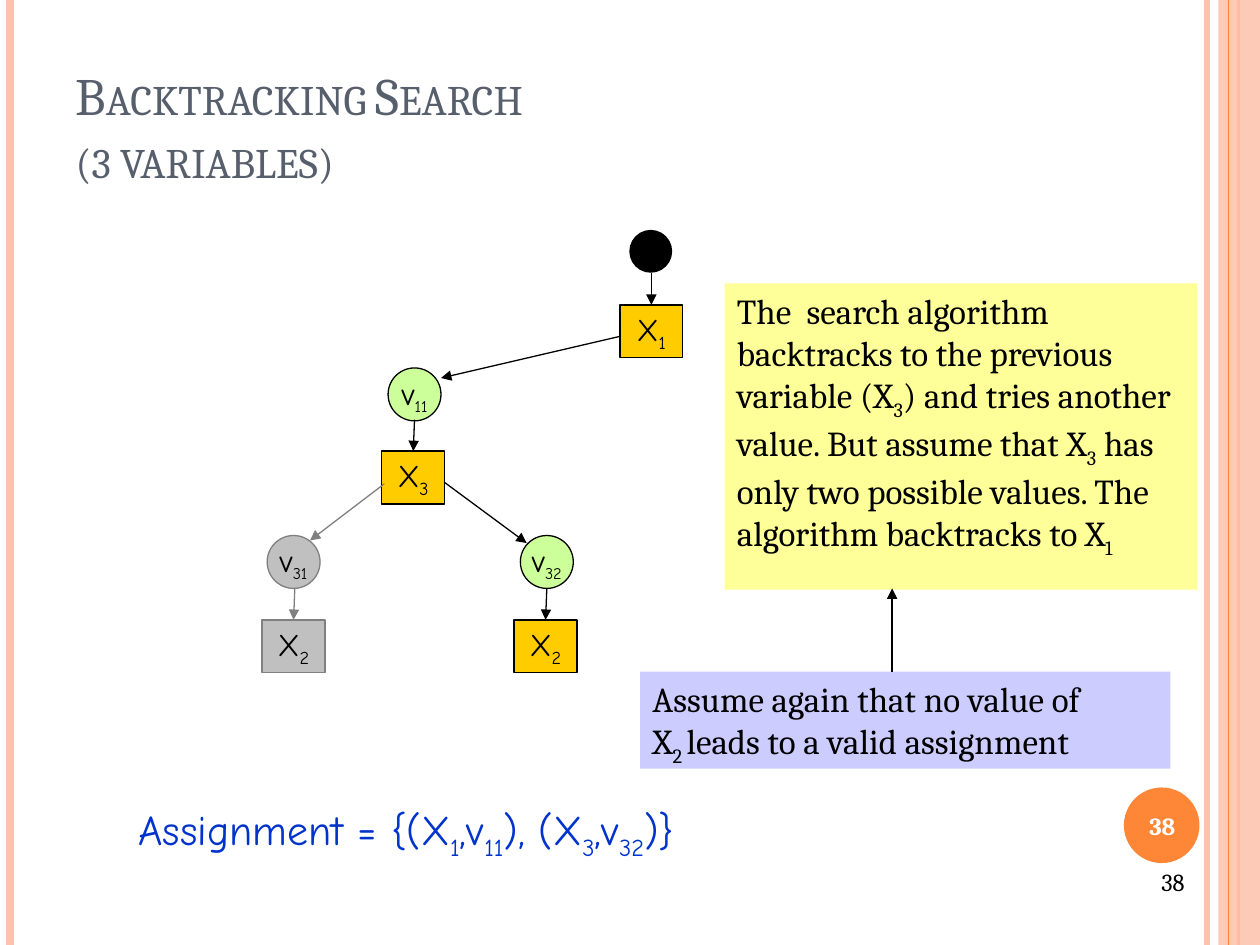
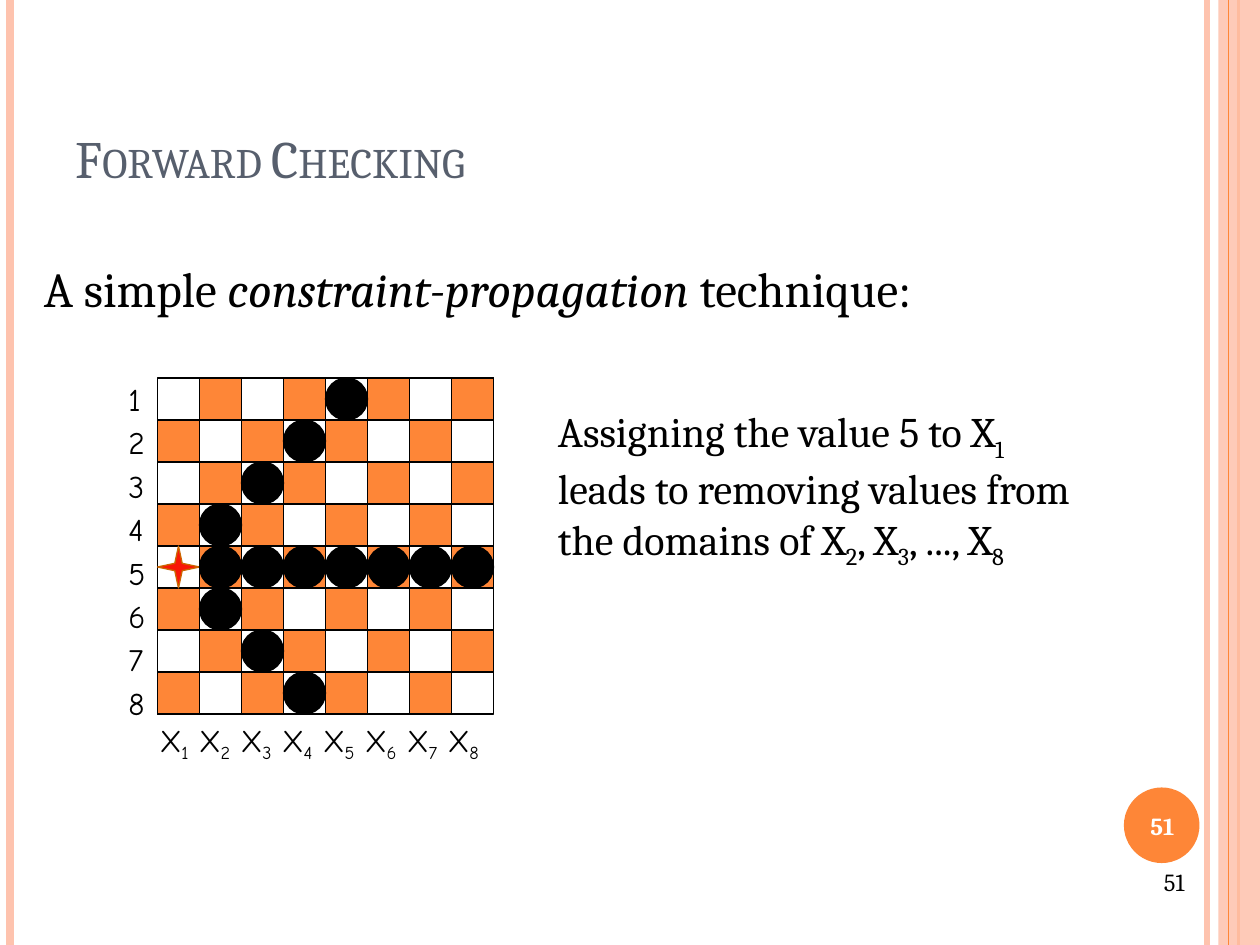
"""Build two slides on constraint search: backtracking and forward checking."""
from copy import deepcopy

from lxml import etree
from pptx import Presentation
from pptx.dml.color import RGBColor
from pptx.enum.shapes import MSO_CONNECTOR, MSO_SHAPE
from pptx.enum.text import MSO_ANCHOR, MSO_AUTO_SIZE, PP_ALIGN
from pptx.oxml.ns import qn
from pptx.util import Inches, Pt

RECT, OVAL, STAR = MSO_SHAPE.RECTANGLE, MSO_SHAPE.OVAL, MSO_SHAPE.STAR_4_POINT
LINE = MSO_CONNECTOR.STRAIGHT
TOP, MID, LOW = MSO_ANCHOR.TOP, MSO_ANCHOR.MIDDLE, MSO_ANCHOR.BOTTOM
LEFT, MIDST, RIGHT = PP_ALIGN.LEFT, PP_ALIGN.CENTER, PP_ALIGN.RIGHT
FIXED = MSO_AUTO_SIZE.NONE
SERIF, COMIC = "Cambria", "Comic Neue"

INK = {
    "black": "000000", "white": "FFFFFF", "slate": "575F6D", "blue": "0033CC",
    "peach": "FEC3AE", "orange": "FE8637", "gold": "FFCC00", "green": "CCFF99",
    "silver": "C0C0C0", "grey": "808080", "lilac": "CCCCFF", "lemon": "FFFF99",
    "red": "F81706", "rust": "CC6600",
}
SUB = {"baseline": "-25000"}
SMALL = {"baseline": "-25000", "sz": "1600"}

# style: font values, ink, paragraph values, frame values, marked-run attributes
LOOKS = {
    "title": ({"name": SERIF, "size": Pt(30)}, "slate", {"alignment": LEFT},
              {"vertical_anchor": LOW}, {}),
    "badge": ({"name": SERIF, "size": Pt(14), "bold": True}, "white",
              {"alignment": MIDST}, {"vertical_anchor": MID}, {}),
    "page": ({"name": SERIF, "size": Pt(14)}, "black", {"alignment": RIGHT}, {}, {}),
    "box": ({"name": COMIC, "size": Pt(18)}, "black", {"alignment": MIDST},
            {"vertical_anchor": MID, "word_wrap": False}, SUB),
    "value": ({"name": COMIC, "size": Pt(18)}, "black", {"alignment": MIDST},
              {"vertical_anchor": MID, "word_wrap": False}, SMALL),
    "note": ({"name": SERIF, "size": Pt(20)}, "black", {}, {}, SUB),
    "sum": ({"name": COMIC, "size": Pt(24)}, "blue", {}, {}, SUB),
    "lead": ({"name": SERIF, "size": Pt(28)}, "black", {"space_before": Pt(6)},
             {}, {"i": "1"}),
    "claim": ({"name": SERIF, "size": Pt(24)}, "black", {}, {}, SUB),
    "rows": ({"name": COMIC, "size": Pt(18)}, "black", {"line_spacing": 1.15}, {}, {}),
    "cols": ({"name": COMIC, "size": Pt(18)}, "black", {}, {}, SUB),
}
words = []


def draw(pool, kind, box, fill=None, edge=None, text=None, look=None):
    """Add a shape, or a text box when kind is None, and queue its text."""
    place = [Inches(v) for v in box]
    if kind is None:
        shape = pool.add_textbox(*place)
    else:
        shape = pool.add_shape(kind, *place)
        shape.shadow.inherit = False
        if fill:
            shape.fill.solid()
            shape.fill.fore_color.rgb = RGBColor.from_string(INK[fill])
        else:
            shape.fill.background()
        if edge:
            shape.line.color.rgb = RGBColor.from_string(INK[edge])
            shape.line.width = Pt(0.75)
        else:
            shape.line.fill.background()
    if text:
        words.append((shape, text, look))
    return shape


def link(pool, start, end, ink, width=0.75, arrow=True):
    """Add a straight line, with an arrowhead unless told otherwise."""
    line = pool.add_connector(LINE, *[Inches(v) for v in start + end])
    line.line.color.rgb = RGBColor.from_string(INK[ink])
    line.line.width = Pt(width)
    if arrow:
        etree.SubElement(line.line._get_or_add_ln(), qn("a:tailEnd"), type="triangle")
    etree.SubElement(line._element.spPr, qn("a:effectLst"))
    return line


deck = Presentation()
deck.slide_width, deck.slide_height = Inches(10), Inches(7.5)
pools = []
for title, page in (("Backtracking Search\v(3 variables)", "38"),
                    ("Forward Checking", "51")):
    pool = deck.slides.add_slide(deck.slide_layouts[5]).shapes
    pools.append(pool)
    for x, ink, width in ((9.58, "peach", 3), (0.08, "peach", 4.5), (9.83, "orange", 1.5)):
        link(pool, (x, 0), (x, 7.5), ink, width, False)
    band = draw(pool, RECT, (9.67, 0, 0.33, 7.5), "peach")
    tint = band._element.spPr.find(".//" + qn("a:srgbClr"))
    etree.SubElement(tint, qn("a:alpha"), val="87000")
    link(pool, (9.75, 0), (9.75, 7.5), "orange", 0.75, False)
    draw(pool, OVAL, (8.92, 6.25, 0.6, 0.6), "orange")
    head = pool.title
    head.left, head.top, head.width, head.height = [
        Inches(v) for v in (0.5, 0.3, 8.17, 1.25)]
    words.append((head, title, "title"))
    draw(pool, None, (8.89, 6.27, 0.67, 0.57), text=page, look="badge")
    draw(pool, None, (7.17, 6.83, 2.33, 0.52), text=page, look="page")

tree, check = pools

draw(tree, OVAL, (5, 1.83, 0.33, 0.33), "black", "black")
nodes = {}
for key, x, y, text, fill, edge in (
        ("x1", 4.92, 2.42, "X_1", "gold", "black"),
        ("x3", 3.03, 3.58, "X_3", "gold", "black"),
        ("old", 2.08, 4.92, "X_2", "silver", "grey"),
        ("new", 4.08, 4.92, "X_2", "gold", "black")):
    nodes[key] = draw(tree, RECT, (x, y, 0.5, 0.42), fill, edge, text, "box")
for x, y, text, fill, edge in (
        (3.08, 2.92, "v_11", "green", "black"),
        (2.12, 4.25, "v_31", "silver", "grey"),
        (4.13, 4.25, "v_32", "green", "black")):
    draw(tree, OVAL, (x, y, 0.42, 0.42), fill, edge, text, "value")

draw(tree, RECT, (5.08, 5.33, 4.21, 0.77), "lilac", None,
     "Assume again that no value of \vX_2 _leads to a valid assignment", "note")
draw(tree, RECT, (5.75, 2.25, 3.75, 2.43), "lemon", None,
     "The  search algorithm\nbacktracks to the previous variable (X_3_) and tries "
     "another value. But assume that X_3_ has only two possible values. "
     "The algorithm backtracks to X_1", "note")
draw(tree, None, (1, 6.33, 4.97, 0.5),
     text="Assignment = {(X_1_,v_11_), (X_3_,v_32_)}", look="sum")

for start, end, ink, goal in (
        ((5.17, 2.17), (5.17, 2.42), "black", "x1"),
        ((4.92, 2.67), (3.5, 3), "black", None),
        ((3.29, 3.33), (3.29, 3.58), "black", "x3"),
        ((3.53, 3.83), (4.18, 4.31), "black", None),
        ((3.05, 3.84), (2.46, 4.29), "grey", None),
        ((4.34, 4.67), (4.34, 4.92), "black", "new"),
        ((2.34, 4.67), (2.34, 4.92), "grey", "old"),
        ((7.08, 5.33), (7.08, 4.67), "black", None)):
    line = link(tree, start, end, ink)
    if goal:
        line.end_connect(nodes[goal], 0)

draw(check, None, (0.25, 2, 9, 4.95),
     text="A simple _constraint-propagation_ technique:", look="lead")
draw(check, None, (4.33, 3.17, 4.97, 1.31),
     text="Assigning the value 5 to X_1 _\vleads to removing values from \v"
          "the domains of X_2_, X_3_, ..., X_8", look="claim")

board = check.add_group_shape().shapes
side, left, top, queen = 1 / 3, 1.25, 3, 4
draw(board, RECT, (left, top, 8 * side, 8 * side), None, "black")
cells = [(row, col) for row in range(8) for col in range(8)]
dark = [(row, col) for row, col in cells if (row + col) % 2]
gone = [(row, col) for row, col in cells
        if col and (row == queen or abs(row - queen) == col)]
for kind, spots, fill, edge in ((RECT, dark, "orange", "black"),
                                (STAR, [(queen, 0)], "red", "rust"),
                                (OVAL, gone, "black", "black")):
    for row, col in spots:
        mark = draw(board, kind, (left + col * side, top + row * side, side, side),
                    fill, edge)
        if kind == STAR:
            mark.adjustments[0] = 0.125
draw(board, None, (0.92, 2.92, 0.35, 2.86),
     text="\n".join(str(n) for n in range(1, 9)), look="rows")
draw(board, None, (1.17, 5.67, 2.9, 0.4),
     text=" ".join(f"X_{n}_" for n in range(1, 9)), look="cols")

for shape, text, look in words:
    font, ink, flow, hold, extra = LOOKS[look]
    frame = shape.text_frame
    hold = {"word_wrap": True, "auto_size": FIXED, "vertical_anchor": TOP, **hold}
    for name, val in hold.items():
        setattr(frame, name, val)
    for i, block in enumerate(text.split("\n")):
        para = frame.add_paragraph() if i else frame.paragraphs[0]
        for name, val in {"alignment": LEFT, **flow}.items():
            setattr(para, name, val)
        for j, row in enumerate(block.split("\v")):
            if j:
                para.add_line_break()
                para._p[-1].append(deepcopy(run._r.rPr))
            for k, part in enumerate(row.split("_")):
                if not part:
                    continue
                run = para.add_run()
                run.text = part
                for name, val in font.items():
                    setattr(run.font, name, val)
                run.font.color.rgb = RGBColor.from_string(INK[ink])
                marks = extra if k % 2 else {}
                if look == "title":
                    marks = {"cap": "small"}
                for name, val in marks.items():
                    run._r.rPr.set(name, val)

deck.save("out.pptx")
